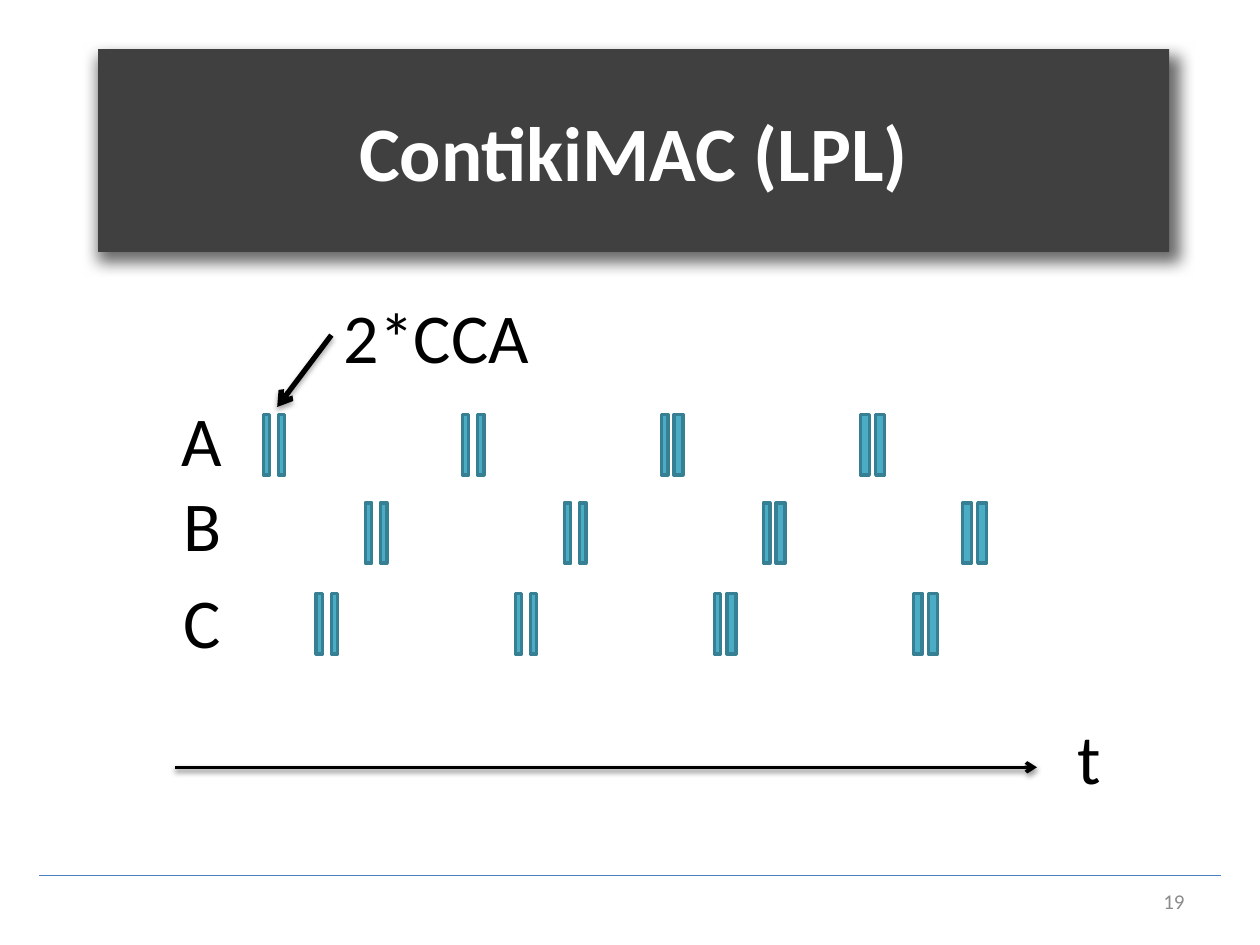
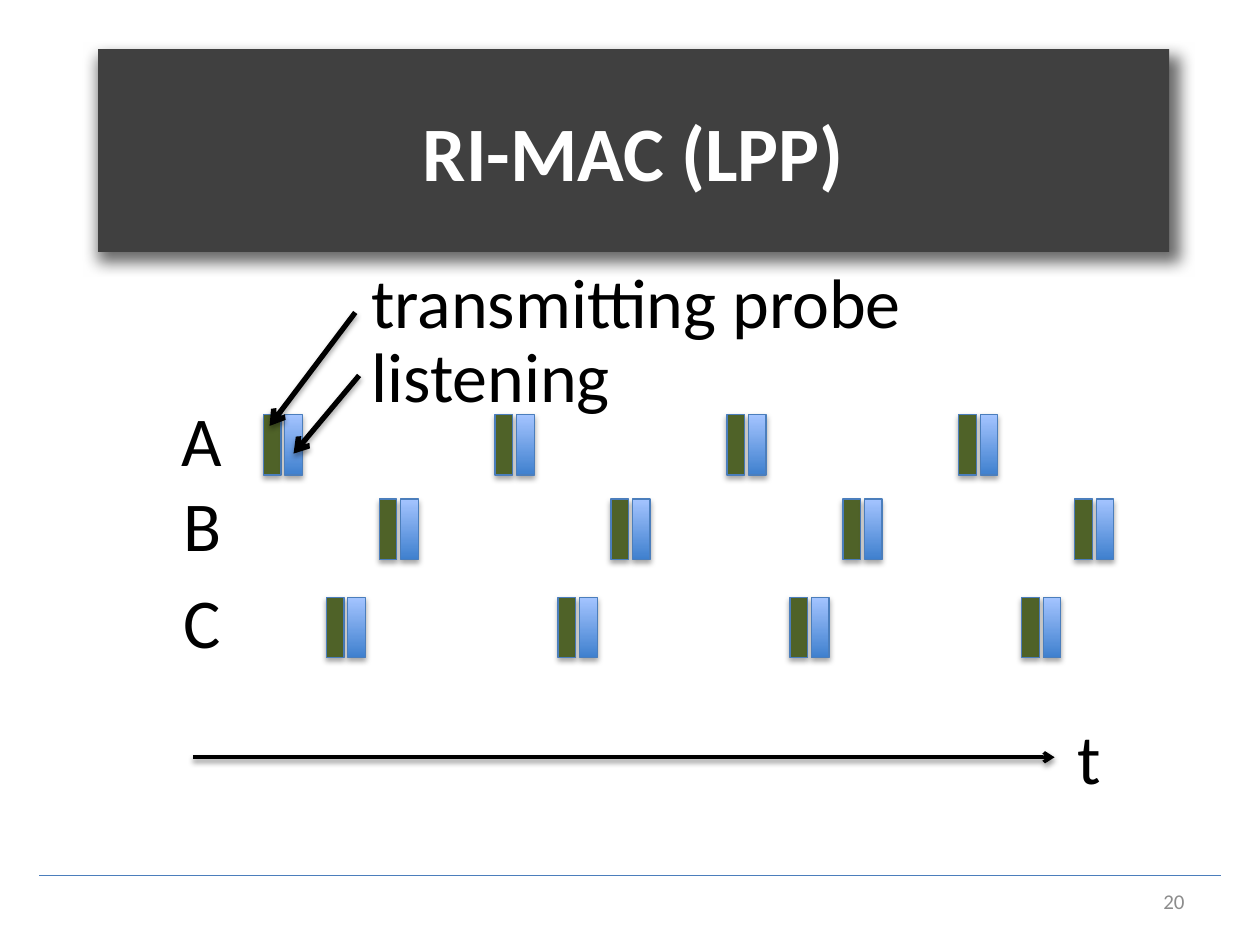
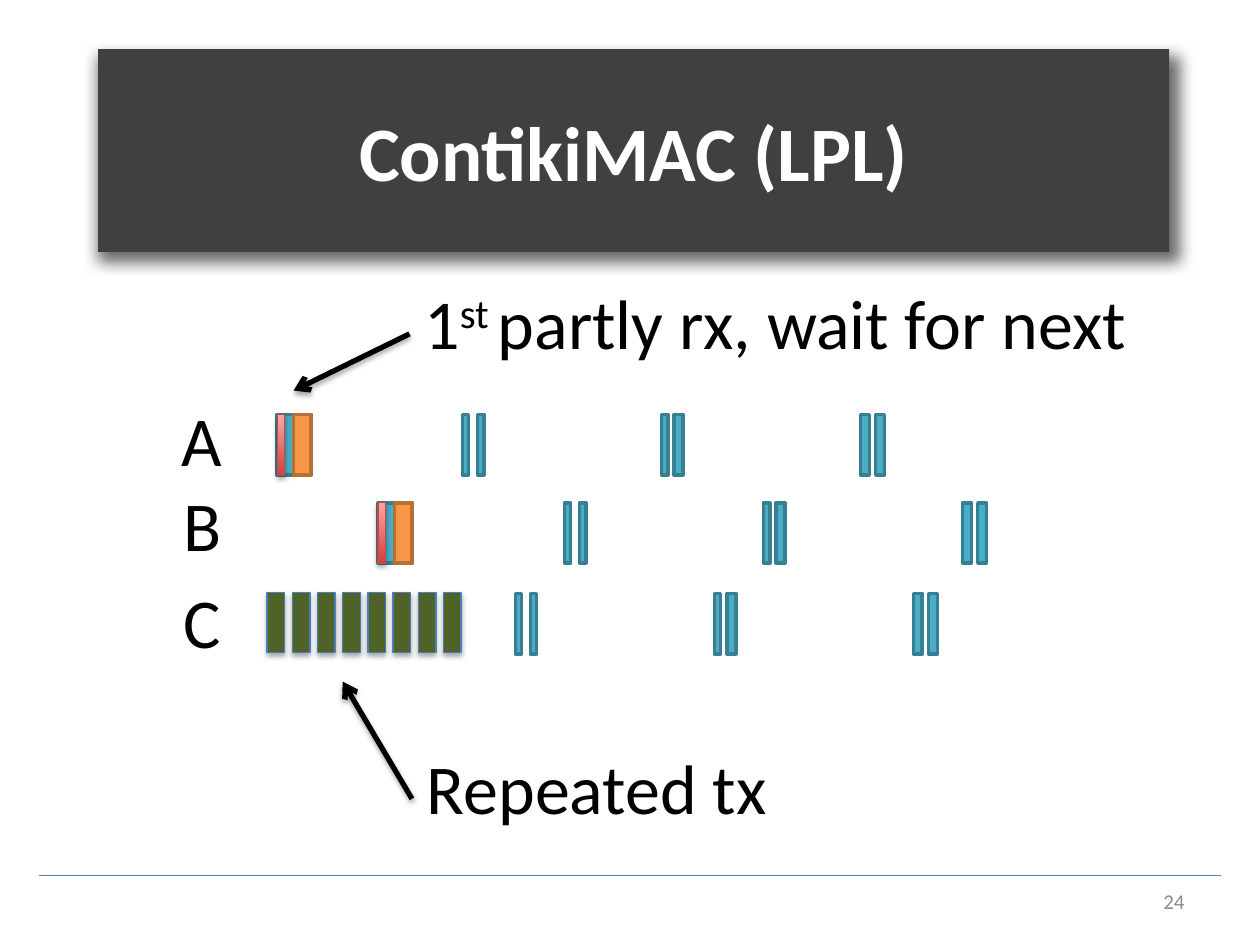
from dataclasses import dataclass
from typing import Optional

import pptx
import pptx.dml.color
import pptx.enum.dml
import pptx.enum.shapes
import pptx.enum.text
import pptx.oxml
import pptx.oxml.ns
import pptx.util

SCALE = 9144
FONT = "Calibri"
BLACK, WHITE, GREY, DARK, BLUE = "000000", "FFFFFF", "8C8C8C", "404040", "4B7EBC"
ALIGN = pptx.enum.text.PP_ALIGN
ANCHOR = pptx.enum.text.MSO_ANCHOR
RECT = pptx.enum.shapes.MSO_SHAPE.RECTANGLE
STRAIGHT = pptx.enum.shapes.MSO_CONNECTOR.STRAIGHT

Box = tuple[int, int, int, int]
Point = tuple[int, int]


@dataclass(frozen=True)
class Shade:
    alpha: int
    blur: float
    dist: float
    angle: int
    grow: int = 100


@dataclass(frozen=True)
class Style:
    fill: str
    line: str = ""
    width: float = 0.75
    light: str = ""
    shade: Optional[Shade] = None


@dataclass(frozen=True)
class Row:
    name: str
    label: Box
    top: int
    start: int


@dataclass(frozen=True)
class Pair:
    gap: int
    first: int
    second: int


@dataclass(frozen=True)
class Note:
    text: str
    box: Box
    tail: Point
    head: Point


SOFT = Shade(35, 3.1, 1.8, 90)
AXIS = Shade(38, 3.1, 1.6, 90)
BANNER = Style(DARK, shade=Shade(58, 9, 4, 100, 101))
CHECK = Style("4BACC6", "377F92", 2)
SEND = Style("4F6228", BLUE, shade=SOFT)
LISTEN = Style("3F80CE", BLUE, light="A4C4FF", shade=SOFT)
WAIT = Style("F79646", "B76F34", 2)
PART = Style("D1403C", "BF4C48", light="FFA6A5", shade=SOFT)

LABELS: dict[str, Box] = {
    "A": (134, 310, 53, 77),
    "B": (136, 377, 51, 77),
    "C": (136, 454, 50, 77),
}
TALL = 48
WIDE = 14
CHECK_STEP = 158
PROBE_STEP = 184
SEND_STEP = 20
PAIRS = [Pair(12, 5, 5), Pair(12, 5, 5), Pair(10, 5, 7), Pair(12, 7, 7)]


def rows(tops: Point | tuple[int, ...], starts: tuple[int, ...]) -> list[Row]:
    return [Row(name, LABELS[name], top, start)
            for name, top, start in zip(LABELS, tops, starts)]


CHECK_ROWS = rows((329, 399, 471), (209, 290, 251))
PROBE_ROWS = rows((329, 396, 474), (209, 301, 259))


def px(*values: int) -> list[int]:
    return [value * SCALE for value in values]


def color(code: str) -> pptx.dml.color.RGBColor:
    return pptx.dml.color.RGBColor.from_string(code)


def add_shade(item, shade: Optional[Shade]) -> None:
    props = item._element.spPr
    old = props.find(pptx.oxml.ns.qn("a:effectLst"))
    if old is not None:
        props.remove(old)
    inner = ""
    if shade:
        inner = (
            f'<a:outerShdw blurRad="{round(shade.blur * 12700)}" '
            f'dist="{round(shade.dist * 12700)}" dir="{shade.angle * 60000}" '
            f'sx="{shade.grow * 1000}" sy="{shade.grow * 1000}" algn="tl" '
            f'rotWithShape="0"><a:srgbClr val="{BLACK}">'
            f'<a:alpha val="{shade.alpha * 1000}"/></a:srgbClr></a:outerShdw>'
        )
    props.append(pptx.oxml.parse_xml(
        f'<a:effectLst {pptx.oxml.ns.nsdecls("a")}>{inner}</a:effectLst>'))


def add_rect(slide, box: Box, style: Style):
    rect = slide.shapes.add_shape(RECT, *px(*box))
    if style.light:
        rect.fill.gradient()
        rect.fill.gradient_angle = 90
        for stop, code in zip(rect.fill.gradient_stops, (style.fill, style.light)):
            stop.color.rgb = color(code)
    else:
        rect.fill.solid()
        rect.fill.fore_color.rgb = color(style.fill)
    if style.line:
        rect.line.color.rgb = color(style.line)
        rect.line.width = pptx.util.Pt(style.width)
    else:
        rect.line.fill.background()
    rect.shadow.inherit = False
    add_shade(rect, style.shade)
    return rect


def add_line(slide, start: Point, end: Point, code: str, width: float,
             shade: Optional[Shade] = None, arrow: bool = False) -> None:
    line = slide.shapes.add_connector(STRAIGHT, *px(*start, *end))
    line.line.color.rgb = color(code)
    line.line.width = pptx.util.Pt(width)
    if arrow:
        stroke = line._element.spPr.find(pptx.oxml.ns.qn("a:ln"))
        stroke.append(pptx.oxml.parse_xml(
            f'<a:tailEnd {pptx.oxml.ns.nsdecls("a")} type="arrow"/>'))
    add_shade(line, shade)


def write(frame, text: str, size: int, code: str, align=ALIGN.LEFT,
          bold: bool = False) -> None:
    first, *rest = text.split("^")
    frame.text = first
    para = frame.paragraphs[0]
    para.alignment = align
    for part in rest:
        para.add_run().text = part
    for place, run in enumerate(para.runs):
        run.font.name = FONT
        run.font.size = pptx.util.Pt(size)
        run.font.bold = bold
        run.font.color.rgb = color(code)
        if place % 2:
            run._r.get_or_add_rPr().set("baseline", "30000")


def add_text(slide, box: Box, text: str, wrap: bool = True) -> None:
    frame = slide.shapes.add_textbox(*px(*box)).text_frame
    frame.word_wrap = wrap
    frame.auto_size = pptx.enum.text.MSO_AUTO_SIZE.SHAPE_TO_FIT_TEXT
    write(frame, text, 40, BLACK)


def add_page(deck, title: str, number: int):
    slide = deck.slides.add_slide(deck.slide_layouts[6])
    frame = add_rect(slide, (78, 39, 850, 161), BANNER).text_frame
    frame.word_wrap = True
    frame.vertical_anchor = ANCHOR.MIDDLE
    write(frame, title, 44, WHITE, ALIGN.CENTER, True)
    frame = slide.shapes.add_textbox(*px(717, 695, 233, 40)).text_frame
    frame.word_wrap = True
    frame.vertical_anchor = ANCHOR.MIDDLE
    write(frame, str(number), 12, GREY, ALIGN.RIGHT)
    add_line(slide, (31, 695), (969, 695), BLUE, 0.75)
    for name, box in LABELS.items():
        add_text(slide, box, name, False)
    return slide


def add_axis(slide, left: int, top: int) -> None:
    add_line(slide, (left, top), (left + 684, top), BLACK, 2, AXIS, True)
    add_text(slide, (845, 562, 39, 77), "t")


def add_note(slide, note: Note) -> None:
    add_text(slide, note.box, note.text)
    add_line(slide, note.tail, note.head, BLACK, 3, SOFT, True)


def add_pair(slide, left: int, top: int, pair: Pair, styles: tuple[Style, Style]) -> None:
    add_rect(slide, (left, top, pair.first, TALL), styles[0])
    add_rect(slide, (left + pair.gap, top, pair.second, TALL), styles[1])


def add_checks(slide, skip: int = 0) -> None:
    for row in CHECK_ROWS:
        for turn, pair in list(enumerate(PAIRS))[skip:]:
            add_pair(slide, row.start + turn * CHECK_STEP, row.top, pair, (CHECK, CHECK))


def add_probes(slide) -> None:
    for row in PROBE_ROWS:
        for turn in range(4):
            add_pair(slide, row.start + turn * PROBE_STEP, row.top,
                     Pair(17, WIDE, WIDE), (SEND, LISTEN))


def add_catch(slide, left: int, top: int) -> None:
    add_rect(slide, (left, top, 27, TALL), CHECK)
    add_rect(slide, (left + 13, top, WIDE, TALL), WAIT)
    add_rect(slide, (left, top, 6, TALL), PART)


def main() -> None:
    deck = pptx.Presentation()
    deck.slide_width, deck.slide_height = px(1000, 750)

    slide = add_page(deck, "ContikiMAC (LPL)", 19)
    add_axis(slide, 139, 609)
    add_checks(slide)
    add_note(slide, Note("2*CCA", (263, 228, 573, 77), (263, 266), (220, 323)))

    slide = add_page(deck, "RI-MAC (LPP)", 20)
    add_axis(slide, 153, 601)
    add_probes(slide)
    add_note(slide, Note("listening", (285, 259, 573, 77), (285, 298), (233, 360)))
    add_note(slide, Note("transmitting probe", (285, 200, 573, 77), (282, 248), (214, 338)))

    slide = add_page(deck, "ContikiMAC (LPL)", 24)
    add_checks(slide, 1)
    for turn in range(8):
        add_rect(slide, (212 + turn * SEND_STEP, 470, WIDE, TALL), SEND)
    add_catch(slide, 220, 329)
    add_catch(slide, 300, 399)
    add_note(slide, Note("Repeated tx", (329, 586, 490, 77), (327, 634), (272, 541)))
    add_note(slide, Note("1^st ^partly rx, wait for next", (327, 217, 601, 77),
                         (325, 265), (233, 310)))

    deck.save("out.pptx")


if __name__ == "__main__":
    main()
